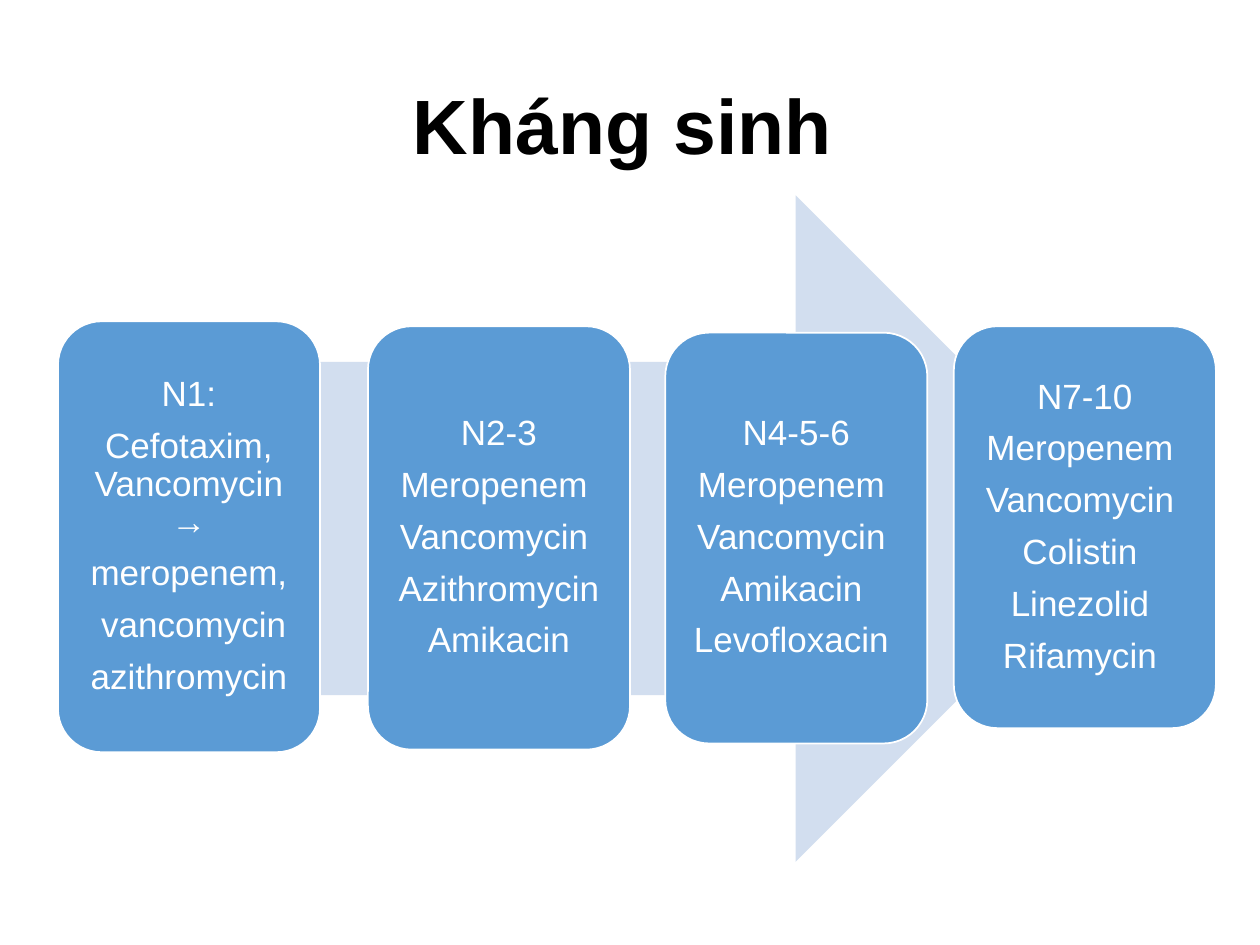
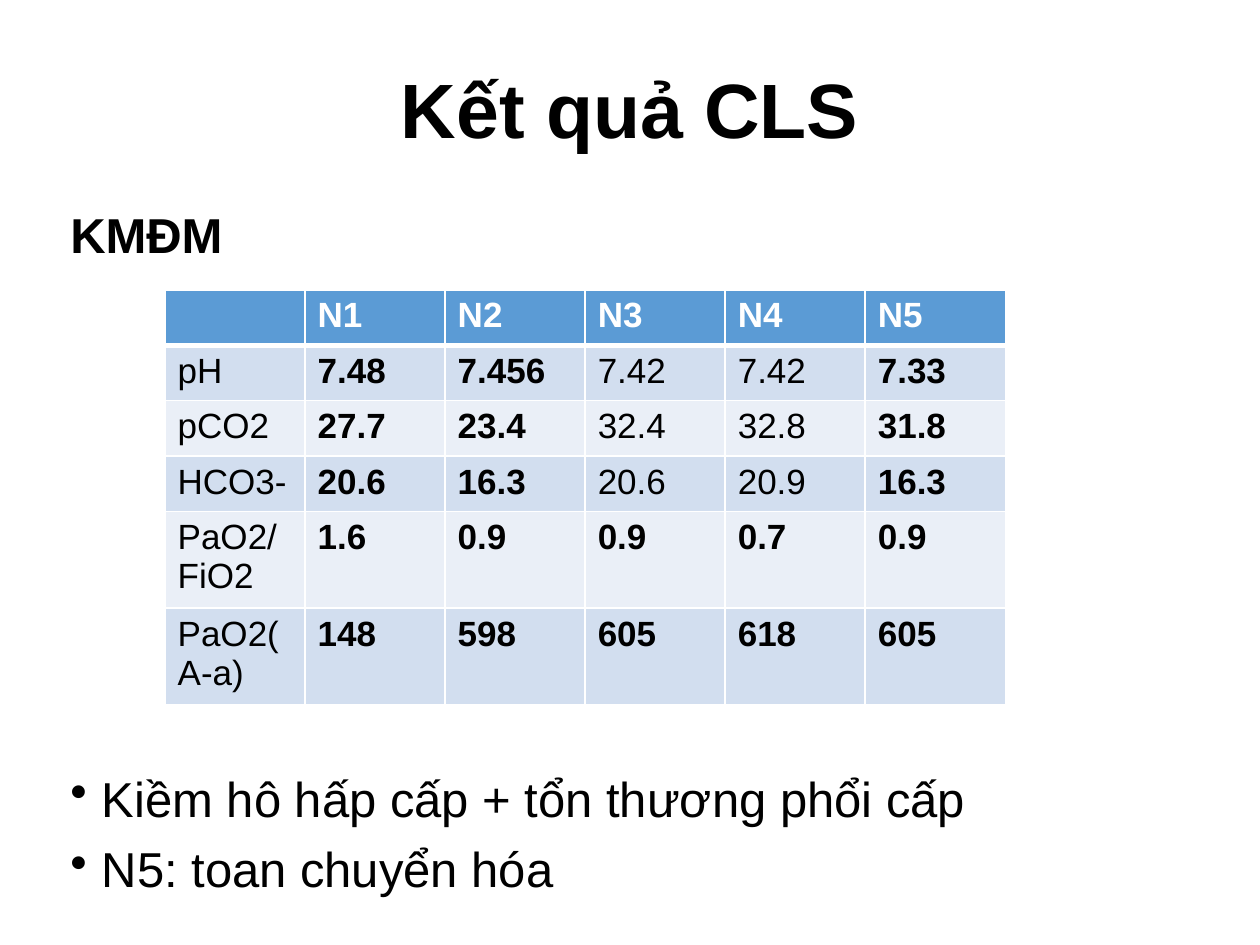
"""Builds two slides on antibiotic treatment and blood gas results."""
from dataclasses import dataclass

from lxml.etree import SubElement
from pptx import Presentation
from pptx.dml.color import RGBColor
from pptx.enum.shapes import MSO_SHAPE
from pptx.enum.text import MSO_ANCHOR, PP_ALIGN
from pptx.oxml.ns import qn
from pptx.util import Inches, Pt

WIDTH, HEIGHT = Inches(10), Inches(7.5)
FONT = "Arial"
BLACK, WHITE = "000000", "FFFFFF"
BLUE, PALE, PALER = "5B9BD5", "D2DEEF", "EAEFF7"


@dataclass(frozen=True)
class Box:
    """A place on the slide, in percent of its width and height."""
    left: float
    top: float
    width: float
    height: float

    def emu(self) -> tuple[int, int, int, int]:
        """Returns left, top, width and height in EMU."""
        return (round(WIDTH * self.left / 100), round(HEIGHT * self.top / 100),
                round(WIDTH * self.width / 100), round(HEIGHT * self.height / 100))


@dataclass(frozen=True)
class Stage:
    """The drugs given over some days of treatment."""
    left: float
    top: float
    height: float
    lines: tuple[str, ...]


STAGES = (
    Stage(29.2, 34.53, 44.8, ("N2-3", "Meropenem ", "Vancomycin ", "Azithromycin", "Amikacin")),
    Stage(4.6, 34, 45.6, ("N1:", "Cefotaxim, Vancomycin →", "meropenem,", " vancomycin",
                          "azithromycin")),
    Stage(52.8, 35.2, 43.47, ("N4-5-6", "Meropenem ", "Vancomycin ", "Amikacin ",
                              "Levofloxacin ")),
    Stage(75.7, 34.53, 42.53, ("N7-10", "Meropenem ", "Vancomycin ", "Colistin ", "Linezolid ",
                               "Rifamycin ")),
)
RESULTS = (
    ("", "N1", "N2", "N3", "N4", "N5"),
    ("pH", "7.48", "7.456", "7.42", "7.42", "7.33"),
    ("pCO2", "27.7", "23.4", "32.4", "32.8", "31.8"),
    ("HCO3-", "20.6", "16.3", "20.6", "20.9", "16.3"),
    ("PaO2/FiO2", "1.6", "0.9", "0.9", "0.7", "0.9"),
    ("PaO2(A-a)", "148", "598", "605", "618", "605"),
)
NORMAL = {(row, col) for row in (1, 2, 3) for col in (3, 4)}


def rgb(color: str) -> RGBColor:
    """Turns a hex string into a colour."""
    return RGBColor.from_string(color)


def write(tf, *lines: str, size=20, color=BLACK, bold=False, align=PP_ALIGN.LEFT,
          spacing=0.9, before=0, after=0, bullet="") -> None:
    """Writes one paragraph per line in a given format."""
    for i, line in enumerate(lines):
        p = tf.paragraphs[0] if i == 0 else tf.add_paragraph()
        if bullet:
            pPr = p._p.get_or_add_pPr()
            pPr.set("marL", str(Inches(0.25)))
            pPr.set("indent", str(-Inches(0.25)))
            SubElement(pPr, qn("a:buChar"), char=bullet)
        p.alignment = align
        p.line_spacing = spacing
        p.space_before = Pt(before if i else 0)
        p.space_after = Pt(after)
        r = p.add_run()
        r.text = line
        r.font.name, r.font.size, r.font.bold = FONT, Pt(size), bold
        r.font.color.rgb = rgb(color)


def add_text(s, box: Box, *lines: str, anchor=MSO_ANCHOR.TOP, **style) -> None:
    """Adds a wrapping text box."""
    tf = s.shapes.add_textbox(*box.emu()).text_frame
    tf.word_wrap = True
    tf.vertical_anchor = anchor
    write(tf, *lines, **style)


def add_title(s, text: str, left: float, top: float) -> None:
    """Adds the slide title."""
    add_text(s, Box(left, top, 86.2, 19.33), text, anchor=MSO_ANCHOR.MIDDLE,
             size=44, bold=True, align=PP_ALIGN.CENTER)


def add_figure(s, kind: MSO_SHAPE, box: Box, fill: str, line: str = ""):
    """Adds a filled preset shape, outlined if a line colour is given."""
    sp = s.shapes.add_shape(kind, *box.emu())
    sp.shadow.inherit = False
    sp.fill.solid()
    sp.fill.fore_color.rgb = rgb(fill)
    if line:
        sp.line.color.rgb = rgb(line)
        sp.line.width = Pt(1)
    else:
        sp.line.fill.background()
    return sp


def add_stage(s, stage: Stage) -> None:
    """Adds a rounded card listing the drugs of a stage."""
    box = Box(stage.left, stage.top, 20.8, stage.height)
    tf = add_figure(s, MSO_SHAPE.ROUNDED_RECTANGLE, box, BLUE, WHITE).text_frame
    tf.word_wrap = True
    tf.vertical_anchor = MSO_ANCHOR.MIDDLE
    tf.margin_left = tf.margin_right = tf.margin_top = tf.margin_bottom = Inches(0.08)
    write(tf, *stage.lines, color=WHITE, align=PP_ALIGN.CENTER, after=8)


def set_borders(cell, **widths: float) -> None:
    """Draws white cell borders, with widths in points by side."""
    tcPr = cell._tc.get_or_add_tcPr()
    for i, (side, width) in enumerate(widths.items()):
        ln = tcPr.makeelement(qn(f"a:ln{side}"), {"w": str(Pt(width))})
        SubElement(SubElement(ln, qn("a:solidFill")), qn("a:srgbClr"), val=WHITE)
        tcPr.insert(i, ln)


def add_results(s, box: Box) -> None:
    """Adds the table of results, with abnormal values in bold."""
    table = s.shapes.add_table(len(RESULTS), len(RESULTS[0]), *box.emu()).table
    table.horz_banding = False
    for row, values in enumerate(RESULTS):
        head = row == 0
        for col, value in enumerate(values):
            cell = table.cell(row, col)
            cell.fill.solid()
            cell.fill.fore_color.rgb = rgb(BLUE if head else PALE if row % 2 else PALER)
            set_borders(cell, L=1, R=1, T=3 if row == 1 else 1, B=3 if head else 1)
            if value:
                write(cell.text_frame, value, color=WHITE if head else BLACK, spacing=1.0,
                      bold=col > 0 and (row, col) not in NORMAL)


def build_antibiotics(s) -> None:
    """Draws the course of antibiotics."""
    add_title(s, "Kháng sinh", 6.3, 4)
    add_figure(s, MSO_SHAPE.RIGHT_ARROW, Box(10.5, 20.67, 79.1, 70.53), PALE)
    for stage in STAGES:
        add_stage(s, stage)


def build_results(s) -> None:
    """Draws the blood gas results and their reading."""
    add_title(s, "Kết quả CLS", 6.9, 2.4)
    add_text(s, Box(4.6, 21.73, 86.3, 7.5), "KMĐM", size=28, bold=True)
    add_results(s, Box(13.1, 30.67, 66.7, 35.2))
    add_text(s, Box(4.6, 81.33, 86.3, 15), "Kiềm hô hấp cấp + tổn thương phổi cấp",
             "N5: toan chuyển hóa", size=28, before=10, bullet="•")


def main() -> None:
    """Builds and saves the presentation."""
    prs = Presentation()
    prs.slide_width, prs.slide_height = WIDTH, HEIGHT
    for build in (build_antibiotics, build_results):
        build(prs.slides.add_slide(prs.slide_layouts[6]))
    prs.save("out.pptx")


if __name__ == "__main__":
    main()
